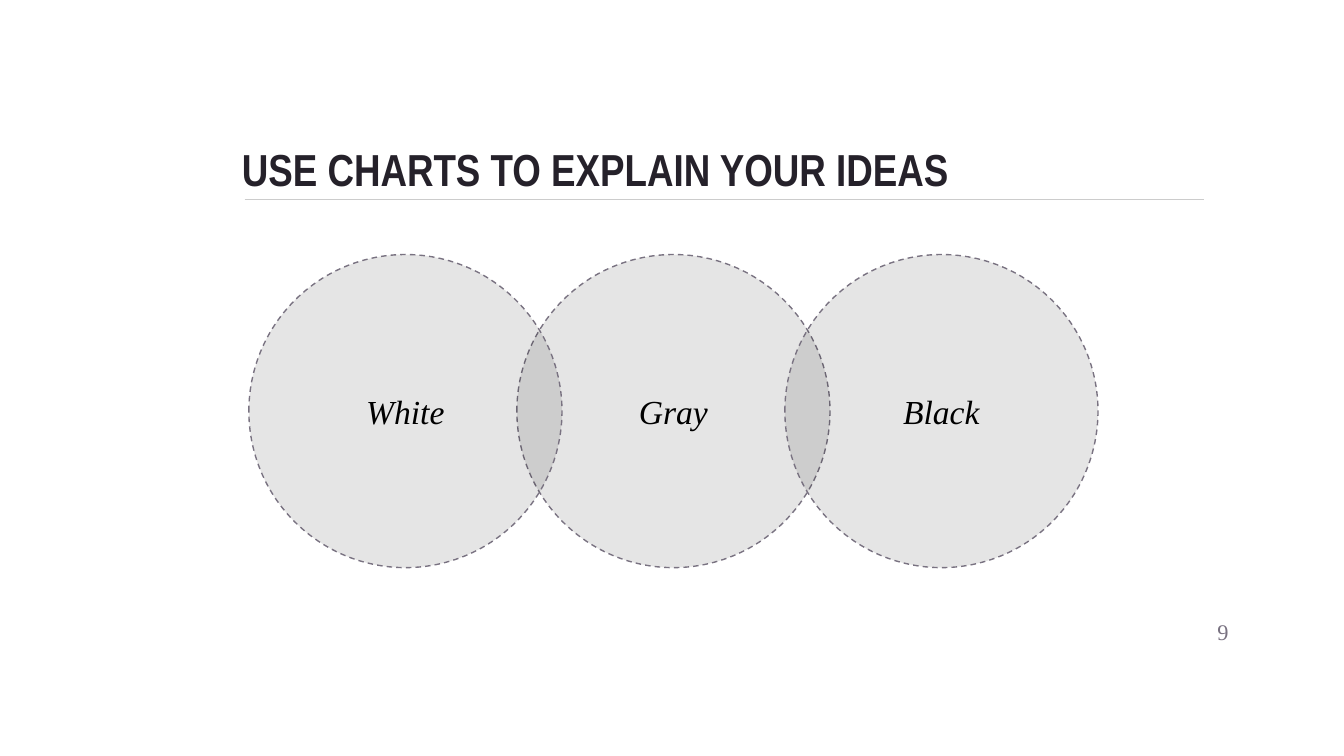
"""Build a slide with three overlapping circles under a ruled title."""
from dataclasses import dataclass

from lxml import etree
from pptx import Presentation
from pptx.dml.color import RGBColor
from pptx.enum.dml import MSO_LINE
from pptx.enum.shapes import MSO_CONNECTOR, MSO_SHAPE
from pptx.enum.text import MSO_ANCHOR, MSO_AUTO_SIZE, PP_ALIGN
from pptx.oxml.ns import qn
from pptx.util import Inches, Pt

LEFT, CENTER, RIGHT = PP_ALIGN.LEFT, PP_ALIGN.CENTER, PP_ALIGN.RIGHT
MIDDLE, BOTTOM = MSO_ANCHOR.MIDDLE, MSO_ANCHOR.BOTTOM
DASH, OVAL, STRAIGHT = MSO_LINE.DASH, MSO_SHAPE.OVAL, MSO_CONNECTOR.STRAIGHT
FIXED = MSO_AUTO_SIZE.NONE
WIDTH = Inches(10)
HEIGHT = WIDTH * 9 // 16
CELL = WIDTH / 100
TITLE_ONLY = 5


@dataclass(frozen=True)
class Theme:
    """Hold the colours, fonts and type sizes."""
    ink: RGBColor = RGBColor.from_string("25212A")
    edge: RGBColor = RGBColor.from_string("797281")
    rule: RGBColor = RGBColor.from_string("CCCCCC")
    black: RGBColor = RGBColor.from_string("000000")
    head: str = "Arial Narrow"
    body: str = "Times New Roman"
    big: Pt = Pt(24)
    mid: Pt = Pt(18)
    small: Pt = Pt(12)
    thin: Pt = Pt(0.75)
    tint: int = 10


@dataclass(frozen=True)
class Box:
    """Place an item in columns and rows of the grid."""
    col: float
    row: float
    wide: float
    high: float

    def place(self) -> tuple[int, int, int, int]:
        """Return left, top, width and height."""
        return tuple(round(n * CELL) for n in (self.col, self.row, self.wide, self.high))


@dataclass(frozen=True)
class Disc:
    """Name a circle and its step along the row."""
    label: str
    step: int


THEME = Theme()
TITLE = Box(17, 7.85, 72.4, 7.7)
RULE = Box(18.2, 14.83, 71.4, 0)
NUMBER = Box(86.4, 44.85, 6, 4.3)
START, TOP, SIZE, PITCH = 18.52, 18.94, 23.3, 19.94
DISCS = (Disc("Gray", 1), Disc("White", 0), Disc("Black", 2))


def apply(item: object, style: dict) -> None:
    """Set each value of a style on an item."""
    for name, value in style.items():
        setattr(item, name, value)


def write(shape, text: str, align, anchor, color: RGBColor, font: dict) -> None:
    """Fill a shape with one formatted line of text."""
    frame = shape.text_frame
    frame.text = text
    pad = dict.fromkeys(("margin_left", "margin_right", "margin_top", "margin_bottom"), Inches(0.1))
    apply(frame, {"auto_size": FIXED, "word_wrap": True, "vertical_anchor": anchor, **pad})
    line = frame.paragraphs[0]
    line.alignment = align
    run = line.runs[0].font
    apply(run, font)
    run.color.rgb = color


def add_rule(slide, box: Box) -> None:
    """Draw the line below the title."""
    left, top, wide, high = box.place()
    rule = slide.shapes.add_connector(STRAIGHT, left, top, left + wide, top + high)
    rule.line.color.rgb = THEME.rule
    rule.line.width = THEME.thin
    etree.SubElement(rule._element.spPr, qn("a:effectLst"))


def add_title(slide, box: Box, text: str) -> None:
    """Move and format the title."""
    title = slide.shapes.title
    apply(title, dict(zip(("left", "top", "width", "height"), box.place())))
    write(title, text, LEFT, BOTTOM, THEME.ink,
          {"name": THEME.head, "size": THEME.big, "bold": True})


def add_disc(slide, disc: Disc) -> None:
    """Draw one sheer circle with its label."""
    box = Box(START + disc.step * PITCH, TOP, SIZE, SIZE)
    shape = slide.shapes.add_shape(OVAL, *box.place())
    shape.shadow.inherit = False
    shape.fill.solid()
    shape.fill.fore_color.rgb = THEME.black
    tone = shape._element.spPr.find(qn("a:solidFill"))[0]
    etree.SubElement(tone, qn("a:alpha"), val=str(THEME.tint * 1000))
    shape.line.color.rgb = THEME.edge
    apply(shape.line, {"width": THEME.thin, "dash_style": DASH})
    write(shape, disc.label, CENTER, MIDDLE, THEME.black,
          {"name": THEME.body, "size": THEME.mid, "italic": True})


def add_number(slide, box: Box, text: str) -> None:
    """Write the page number."""
    shape = slide.shapes.add_textbox(*box.place())
    write(shape, text, RIGHT, MIDDLE, THEME.edge, {"name": THEME.body, "size": THEME.small})


def main() -> None:
    """Build and save the slide."""
    deck = Presentation()
    apply(deck, {"slide_width": WIDTH, "slide_height": HEIGHT})
    slide = deck.slides.add_slide(deck.slide_layouts[TITLE_ONLY])
    add_rule(slide, RULE)
    add_title(slide, TITLE, "USE CHARTS TO EXPLAIN YOUR IDEAS")
    for disc in DISCS:
        add_disc(slide, disc)
    add_number(slide, NUMBER, "9")
    deck.save("out.pptx")


if __name__ == "__main__":
    main()
